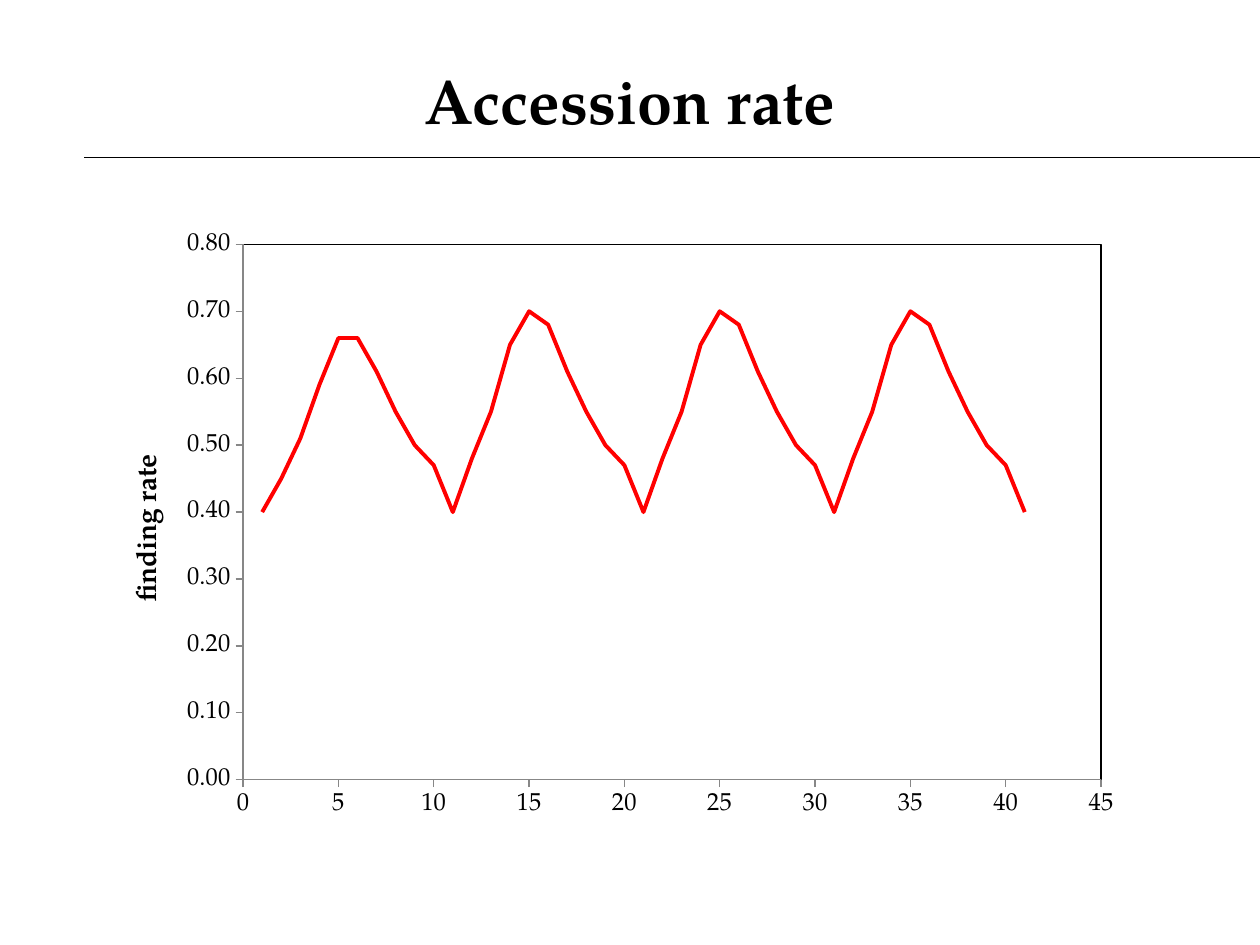
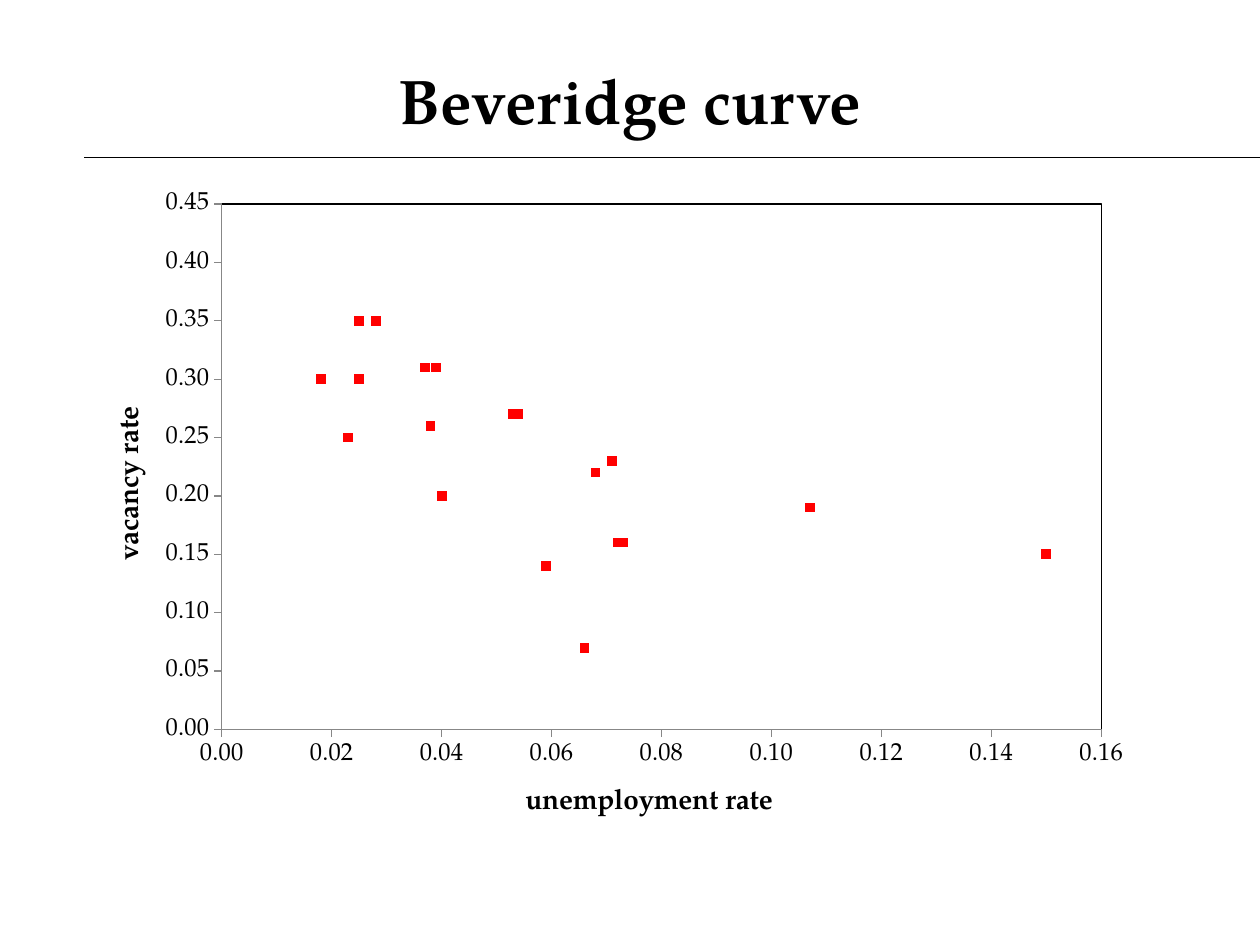
import pptx
import pptx.chart.data
import pptx.dml.color
import pptx.enum.chart
import pptx.enum.shapes
import pptx.enum.text
import pptx.oxml
import pptx.oxml.ns
import pptx.util
from pptx.util import Inches

FONT = "TeX Gyre Pagella"
BLACK, GREY, RED = "000000", "878787", "FF0000"
KIND = pptx.enum.chart.XL_CHART_TYPE
TICK = pptx.enum.chart.XL_TICK_MARK
qn = pptx.oxml.ns.qn

RATE = [0.4, 0.45, 0.51, 0.59, 0.66, 0.66, 0.61, 0.55, 0.5, 0.47, 0.4]
RATE += [0.48, 0.55, 0.65, 0.7, 0.68, 0.61, 0.55, 0.5, 0.47, 0.4] * 3
JOBLESS = [0.15, 0.107, 0.068, 0.038, 0.025, 0.028, 0.039, 0.054, 0.071, 0.073, 0.066]
JOBLESS += [0.059, 0.04, 0.023, 0.018, 0.025, 0.037, 0.053, 0.071, 0.072, 0.066] * 3
VACANT = [0.15, 0.19, 0.22, 0.26, 0.3, 0.35, 0.31, 0.27, 0.23, 0.16, 0.07]
VACANT += [0.14, 0.2, 0.25, 0.3, 0.35, 0.31, 0.27, 0.23, 0.16, 0.07] * 3


def rgb(code):
    return pptx.dml.color.RGBColor.from_string(code)


def style(font, size, bold=False):
    font.name = FONT
    font.size = pptx.util.Pt(size)
    font.bold = bold
    font.color.rgb = rgb(BLACK)


def stroke(line, code, width):
    line.color.rgb = rgb(code)
    line.width = pptx.util.Pt(width)


def add_page(deck, text):
    slide = deck.slides.add_slide(deck.slide_layouts[5])
    title = slide.shapes.title
    title.left, title.top = Inches(0.5), Inches(0.33)
    title.width, title.height = Inches(9), Inches(0.92)
    frame = title.text_frame
    frame.text = text
    frame.vertical_anchor = pptx.enum.text.MSO_ANCHOR.MIDDLE
    frame.paragraphs[0].alignment = pptx.enum.text.PP_ALIGN.CENTER
    style(frame.paragraphs[0].runs[0].font, 36, True)
    rule = slide.shapes.add_connector(
        pptx.enum.shapes.MSO_CONNECTOR.STRAIGHT,
        Inches(0.67), Inches(1.25), Inches(10), Inches(1.25))
    stroke(rule.line, BLACK, 0.75)
    props = rule._element.spPr
    props.append(props.makeelement(qn("a:effectLst"), {}))
    return slide


def make_layout(box, spot, inner=False):
    left, top, width, height = box
    parts = [("x", (spot[0] - left) / width), ("y", (spot[1] - top) / height)]
    if inner:
        parts += [("w", spot[2] / width), ("h", spot[3] / height)]
    target = '<c:layoutTarget val="inner"/>' if inner else ""
    modes = '<c:xMode val="edge"/><c:yMode val="edge"/>'
    sizes = "".join(f'<c:{name} val="{part:.4f}"/>' for name, part in parts)
    return pptx.oxml.parse_xml(
        f'<c:layout {pptx.oxml.ns.nsdecls("c")}><c:manualLayout>'
        f'{target}{modes}{sizes}</c:manualLayout></c:layout>')


def drop_layout(node):
    for old in node.findall(qn("c:layout")):
        node.remove(old)


def set_plot(chart, box, spot):
    area = chart._chartSpace.chart.plotArea
    drop_layout(area)
    area.insert(0, make_layout(box, spot, True))
    border = pptx.oxml.parse_xml(
        f'<c:spPr {pptx.oxml.ns.nsdecls("c", "a")}><a:noFill/><a:ln w="9525">'
        f'<a:solidFill><a:srgbClr val="{BLACK}"/></a:solidFill></a:ln></c:spPr>')
    area.append(border)


def set_axis(axis, top, step, form):
    axis.minimum_scale, axis.maximum_scale = 0, top
    axis.major_unit = step
    axis.has_major_gridlines = False
    axis.major_tick_mark = TICK.OUTSIDE
    axis.minor_tick_mark = TICK.NONE
    axis.tick_labels.number_format = form
    axis.tick_labels.number_format_is_linked = False
    style(axis.tick_labels.font, 14)
    stroke(axis.format.line, GREY, 0.75)


def name_axis(axis, text, box, spot):
    frame = axis.axis_title.text_frame
    frame.text = text
    style(frame.paragraphs[0].runs[0].font, 16, True)
    node = axis.axis_title._element
    drop_layout(node)
    node.find(qn("c:tx")).addnext(make_layout(box, spot))


def add_plot(slide, kind, points, box, spot, across, up):
    data = pptx.chart.data.XyChartData()
    series = data.add_series("Series 1")
    for x, y in points:
        series.add_data_point(x, y)
    chart = slide.shapes.add_chart(kind, *map(Inches, box), data).chart
    chart.has_legend = chart.has_title = False
    style(chart.font, 10)
    chart.plots[0].vary_by_categories = False
    set_plot(chart, box, spot)
    set_axis(chart.category_axis, *across)
    set_axis(chart.value_axis, *up)
    chart.plots[0].series[0].smooth = False
    return chart


def draw_rate(deck):
    slide = add_page(deck, "Accession rate")
    box = (0.83, 1.75, 8.17, 4.83)
    chart = add_plot(slide, KIND.XY_SCATTER_LINES_NO_MARKERS, enumerate(RATE, 1),
                     box, (1.93, 1.94, 6.81, 4.25), (45, 5, "0"), (0.8, 0.1, "0.00"))
    name_axis(chart.value_axis, "finding rate", box, (1.02, 3.57))
    stroke(chart.plots[0].series[0].format.line, RED, 2.25)


def draw_curve(deck):
    slide = add_page(deck, "Beveridge curve")
    box = (0.67, 1.42, 8.42, 5.25)
    chart = add_plot(slide, KIND.XY_SCATTER, zip(JOBLESS, VACANT), box,
                     (1.76, 1.62, 6.98, 4.17), (0.16, 0.02, "0.00"), (0.45, 0.05, "0.00"))
    name_axis(chart.category_axis, "unemployment rate", box, (4.13, 6.2))
    name_axis(chart.value_axis, "vacancy rate", box, (0.88, 3.19))
    series = chart.plots[0].series[0]
    series.format.line.fill.background()
    mark = series.marker
    mark.style = pptx.enum.chart.XL_MARKER_STYLE.SQUARE
    mark.size = 5
    mark.format.fill.solid()
    mark.format.fill.fore_color.rgb = rgb(RED)
    stroke(mark.format.line, RED, 0.75)


def main():
    deck = pptx.Presentation()
    deck.slide_width, deck.slide_height = Inches(10), Inches(7.5)
    draw_rate(deck)
    draw_curve(deck)
    deck.save("out.pptx")


if __name__ == "__main__":
    main()
